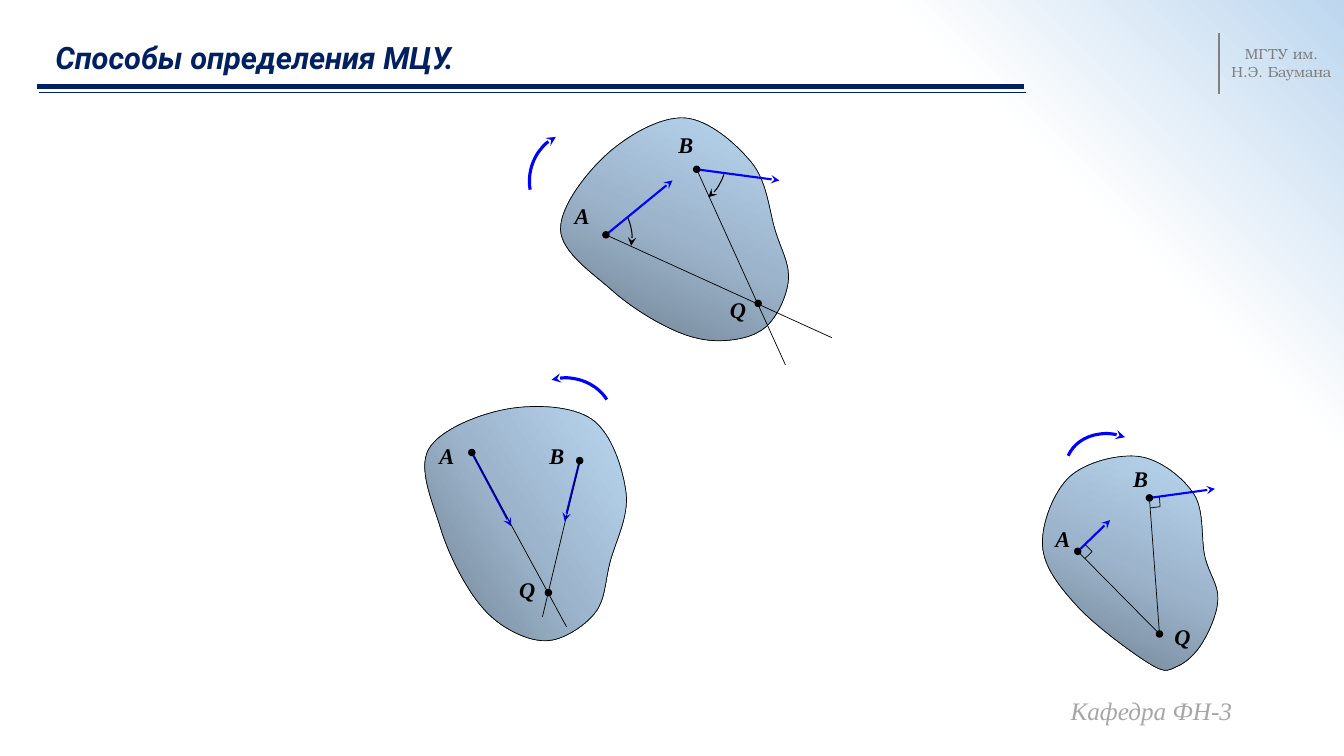
"""Build a slide on finding the instantaneous centre of velocity of a plane body."""
from math import dist

from lxml import etree
from pptx import Presentation
from pptx.dml.color import RGBColor
from pptx.enum.shapes import MSO_CONNECTOR, MSO_SHAPE
from pptx.enum.text import MSO_ANCHOR, PP_ALIGN
from pptx.oxml.ns import qn
from pptx.util import Inches, Pt

STRAIGHT = MSO_CONNECTOR.STRAIGHT
ARC, OVAL = MSO_SHAPE.ARC, MSO_SHAPE.OVAL
TOP, MIDDLE = MSO_ANCHOR.TOP, MSO_ANCHOR.MIDDLE
LEFT, CENTER = PP_ALIGN.LEFT, PP_ALIGN.CENTER

NAVY = RGBColor.from_string("002060")
BLUE = RGBColor.from_string("0000FF")
BLACK = RGBColor.from_string("000000")
GRAY = RGBColor.from_string("808080")
LIGHT_GRAY = RGBColor.from_string("A6A6A6")
BODY_STOPS = {0: "6E7F8F", 50: "9DB5CC", 100: "BAD7F2"}
PAGE_STOPS = {78: "FFFFFF", 100: "BDD7EE"}

DOT, MARK = 0.06, 0.1
ANGLE_ARC = dict(size=(0.91, 0.78), sweep=(287.7, 326.14), color=BLACK, width=0.75)
TURN_ARC = dict(size=(0.91, 0.8), sweep=(239.36, 326.14), color=BLUE, width=2.25)
SMALL_TURN_ARC = dict(TURN_ARC, size=(0.77, 0.91), sweep=(273.14, 2.58))

TEXTS = [
    ("Способы определения МЦУ.", (0.45, 0.24, 10, 0.71),
     dict(size=22, font="Roboto", color=NAVY, bold=True, anchor=MIDDLE, spacing=0.9)),
    ("МГТУ им. Н.Э. Баумана", (12.09, 0.4, 1.24, 0.45),
     dict(size=10.5, font="TeX Gyre Bonum", color=GRAY, italic=False, align=CENTER)),
    ("Кафедра ФН-3", (10.52, 6.85, 2.19, 0.4), dict(size=18, color=LIGHT_GRAY)),
]
RULES = [
    ((0.37, 0.86), (10.16, 0.86), NAVY, 3.5),
    ((0.39, 0.92), (10.18, 0.92), NAVY, 0.75),
    ((12.09, 0.33), (12.09, 0.93), GRAY, 1.5),
]
FIGURES = [
    dict(
        tilt=295,
        outline=[(6.67, 3.27), (6.07, 2.88), (5.56, 2.28), (6.02, 1.53), (6.79, 1.17),
                 (7.46, 1.62), (7.69, 2.29), (7.82, 2.78), (7.6, 3.24), (7.16, 3.38)],
        points=dict(A=(6.01, 2.33), B=(6.91, 1.68), Q=(7.52, 3.01)),
        labels=dict(A=(5.6, 1.96), B=(6.63, 1.25), Q=(7.14, 2.89)),
        tips=dict(A=(6.67, 1.79), B=(7.73, 1.79)),
        rays=dict(A=(8.25, 3.35), B=(7.79, 3.62)),
        arcs=[(6.36, 1.19, 94.7, "tailEnd", ANGLE_ARC),
              (5.4, 1.9, 53.9, "tailEnd", ANGLE_ARC),
              (5.2, 1.37, 284.9, "tailEnd", TURN_ARC)]),
    dict(
        tilt=326.5,
        outline=[(4.68, 5.89), (4.37, 5.24), (4.25, 4.46), (5.02, 4.06), (5.87, 4.16),
                 (6.21, 4.89), (6.05, 5.58), (5.91, 6.07), (5.48, 6.35), (5.04, 6.24)],
        points=dict(A=(4.68, 4.49), B=(5.75, 4.57), Q=(5.44, 5.88)),
        labels=dict(A=(4.26, 4.34), B=(5.35, 4.34), Q=(5.05, 5.67)),
        tips=dict(A=(5.07, 5.22), B=(5.6, 5.17)),
        rays=dict(A=(5.62, 6.22), B=(5.38, 6.12)),
        arcs=[(5.17, 3.75, 8.6, "headEnd", TURN_ARC)]),
    dict(
        tilt=295,
        outline=[(11.41, 6.59), (10.68, 6.01), (10.34, 5.41), (10.61, 4.73), (11.3, 4.53),
                 (11.84, 4.9), (11.95, 5.52), (12.08, 5.94), (11.93, 6.37), (11.68, 6.61)],
        points=dict(A=(10.69, 5.47), B=(11.4, 4.94), Q=(11.5, 6.29)),
        labels=dict(A=(10.37, 5.16), B=(11.14, 4.57), Q=(11.55, 6.13)),
        tips=dict(A=(11.01, 5.16), B=(12.05, 4.85)),
        rays={},
        arcs=[(10.63, 4.24, 289.3, "tailEnd", SMALL_TURN_ARC)]),
]


def add_text(page, text, frame, size=16, font="Times New Roman", color=BLACK, bold=False,
             italic=True, align=LEFT, anchor=TOP, spacing=None):
    box = page.shapes.add_textbox(*map(Inches, frame))
    box.text_frame.word_wrap = True
    box.text_frame.vertical_anchor = anchor
    para = box.text_frame.paragraphs[0]
    para.alignment, para.line_spacing = align, spacing
    span = para.add_run()
    span.text = text
    span.font.size, span.font.name = Pt(size), font
    span.font.bold, span.font.italic = bold, italic
    span.font.color.rgb = color


def style_line(shape, color, width, arrow=None):
    shape.line.color.rgb = color
    shape.line.width = Pt(width)
    if arrow:
        outline = shape.element.spPr.find(qn("a:ln"))
        etree.SubElement(outline, qn(f"a:{arrow}"), type="stealth")


def add_line(page, start, end, color=BLACK, width=0.5, arrow=None):
    line = page.shapes.add_connector(STRAIGHT, *map(Inches, start + end))
    style_line(line, color, width, arrow)
    etree.SubElement(line.element.spPr, qn("a:effectLst"))


def set_gradient(owner, fill, stops, angle=None):
    fill.gradient()
    gradient = owner.element.find(".//" + qn("a:gradFill"))
    for child in list(gradient):
        gradient.remove(child)
    stop_list = etree.SubElement(gradient, qn("a:gsLst"))
    for position, color in stops.items():
        stop = etree.SubElement(stop_list, qn("a:gs"), pos=str(position * 1000))
        etree.SubElement(stop, qn("a:srgbClr"), val=color)
    if angle is None:
        focus = etree.SubElement(gradient, qn("a:path"), path="circle")
        etree.SubElement(focus, qn("a:fillToRect"), t="100000", r="100000")
    else:
        etree.SubElement(gradient, qn("a:lin"), ang=str(int(angle * 60000)), scaled="0")


def smooth_controls(outline):
    """Return Bezier controls of a closed Catmull-Rom curve."""
    controls = []
    for index, here in enumerate(outline):
        before = outline[index - 1]
        after, beyond = (outline[(index + step) % len(outline)] for step in (1, 2))
        controls.append([h + (a - b) / 6 for b, h, a in zip(before, here, after)])
        controls.append([a - (f - h) / 6 for h, a, f in zip(here, after, beyond)])
        controls.append(after)
    return controls


def add_body(page, outline, tilt):
    builder = page.shapes.build_freeform(*map(Inches, outline[0]))
    builder.add_line_segments([(Inches(x), Inches(y)) for x, y in smooth_controls(outline)])
    body = builder.convert_to_shape()
    body.shadow.inherit = False
    set_gradient(body, body.fill, BODY_STOPS, tilt)
    style_line(body, BLACK, 0.5)
    segments = list(body.element.iter(qn("a:lnTo")))
    for first in range(0, len(segments), 3):
        curve = etree.Element(qn("a:cubicBezTo"))
        segments[first].addprevious(curve)
        for segment in segments[first:first + 3]:
            curve.append(segment[0])
            segment.getparent().remove(segment)


def add_arc(page, left, top, rotation, arrow, size, sweep, color, width):
    arc = page.shapes.add_shape(ARC, *map(Inches, (left, top, *size)))
    arc.rotation = rotation
    for index, angle in enumerate(sweep):
        arc.adjustments[index] = angle * 0.6
    arc.shadow.inherit = False
    arc.fill.background()
    style_line(arc, color, width, arrow)


def add_dot(page, center):
    left, top = (Inches(value - DOT / 2) for value in center)
    dot = page.shapes.add_shape(OVAL, left, top, Inches(DOT), Inches(DOT))
    dot.shadow.inherit = False
    dot.fill.solid()
    dot.fill.fore_color.rgb = BLACK
    style_line(dot, BLACK, 1)


def step_toward(start, end):
    share = MARK / dist(start, end)
    return tuple(s + (e - s) * share for s, e in zip(start, end))


def add_right_angle(page, vertex, tip, center):
    along, across = step_toward(vertex, tip), step_toward(vertex, center)
    corner = tuple(a + c - v for a, c, v in zip(along, across, vertex))
    add_line(page, across, corner)
    add_line(page, corner, along)


def add_figure(page, tilt, outline, points, labels, tips, rays, arcs):
    add_body(page, outline, tilt)
    for name, tip in tips.items():
        add_line(page, points[name], tip, BLUE, 1.5, "tailEnd")
        add_line(page, points[name], rays.get(name, points["Q"]))
        if not rays:
            add_right_angle(page, points[name], tip, points["Q"])
    for name, corner in labels.items():
        add_dot(page, points[name])
        add_text(page, name, (*corner, 0.37, 0.37), bold=True)
    for left, top, rotation, arrow, style in arcs:
        add_arc(page, left, top, rotation, arrow, **style)


def main():
    deck = Presentation()
    deck.slide_width, deck.slide_height = Inches(13.33), Inches(7.5)
    page = deck.slides.add_slide(deck.slide_layouts[6])
    set_gradient(page, page.background.fill, PAGE_STOPS)
    for text, frame, style in TEXTS:
        add_text(page, text, frame, **style)
    for rule in RULES:
        add_line(page, *rule)
    for figure in FIGURES:
        add_figure(page, **figure)
    deck.save("out.pptx")


if __name__ == "__main__":
    main()
